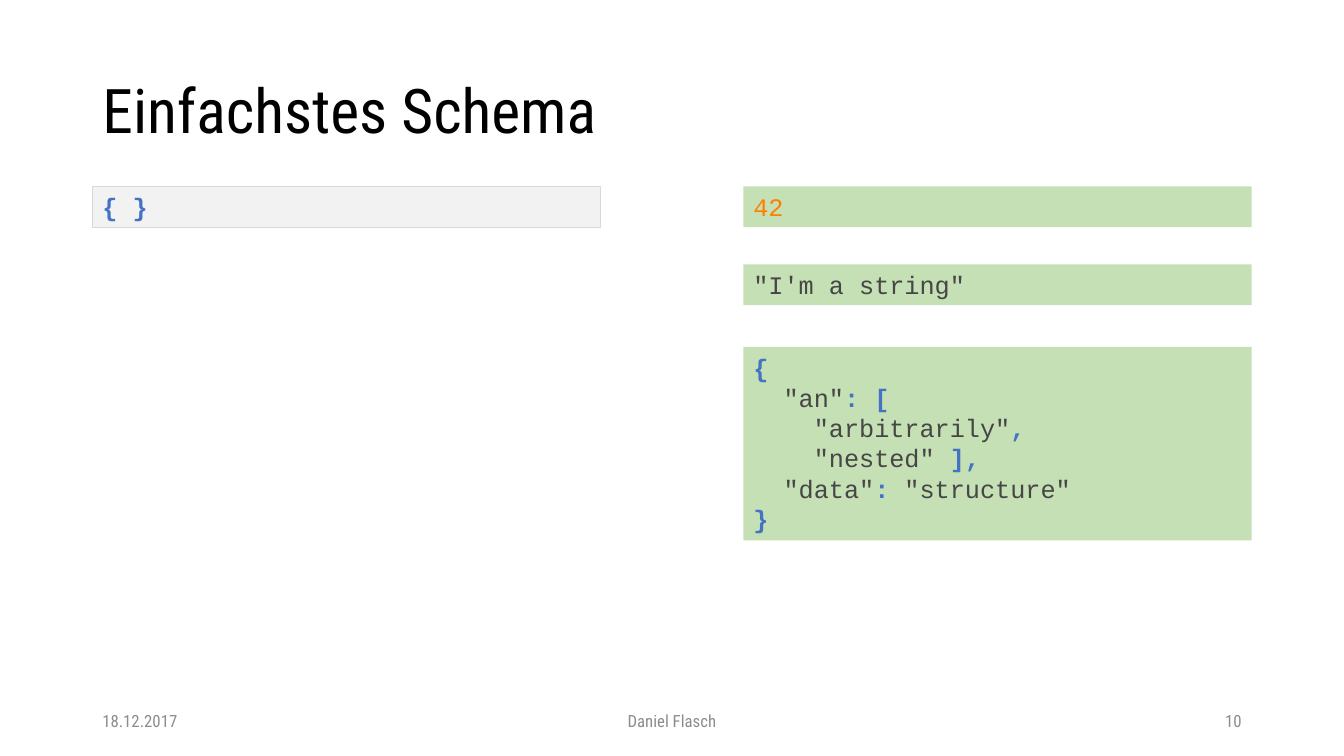
import dataclasses

import pptx
import pptx.dml.color
import pptx.enum.shapes
import pptx.enum.text
import pptx.util

Pt = pptx.util.Pt
ALIGN = pptx.enum.text.PP_ALIGN
MIDDLE = pptx.enum.text.MSO_ANCHOR.MIDDLE


@dataclasses.dataclass(frozen=True)
class Theme:
    sans: str = "Roboto Condensed"
    mono: str = "Courier New"
    title: int = 44
    code: int = 18
    foot: int = 12
    black: str = "000000"
    muted: str = "8C8C8C"
    mark: str = "4472C4"
    number: str = "FF8000"
    string: str = "464646"
    schema: str = "F2F2F2"
    border: str = "D9D9D9"
    valid: str = "C5E0B4"


THEME = Theme()
LEFT, RIGHT, WIDTH = 66, 531, 363
STEP = 21.6  # two characters of code

NESTED = [
    (0, [("mark", "{")]),
    (1, [("string", '"an"'), ("mark", ": [")]),
    (2, [("string", '"arbitrarily"'), ("mark", ",")]),
    (2, [("string", '"nested" '), ("mark", "],")]),
    (1, [("string", '"data"'), ("mark", ": "), ("string", '"structure"')]),
    (0, [("mark", "}")]),
]


def tint(hue):
    return pptx.dml.color.RGBColor.from_string(hue)


def style(run, face, size, hue, bold=False):
    font = run.font
    font.name, font.size, font.bold = face, Pt(size), bold
    font.color.rgb = tint(hue)


def place(shape, left, top, width, height):
    shape.left, shape.top = Pt(left), Pt(top)
    shape.width, shape.height = Pt(width), Pt(height)


def add_title(slide, text):
    title = slide.shapes.title
    place(title, LEFT, 28.8, 828, 104.4)
    frame = title.text_frame
    frame.text = text
    frame.vertical_anchor = MIDDLE
    line = frame.paragraphs[0]
    line.alignment = ALIGN.LEFT
    line.line_spacing = 0.9
    style(line.runs[0], THEME.sans, THEME.title, THEME.black)


def add_foot(slide, text, left, width, align):
    box = slide.shapes.add_textbox(Pt(left), Pt(500.5), Pt(width), Pt(28.8))
    frame = box.text_frame
    frame.word_wrap = True
    frame.text = text
    frame.vertical_anchor = MIDDLE
    line = frame.paragraphs[0]
    line.alignment = align
    style(line.runs[0], THEME.sans, THEME.foot, THEME.muted)


def add_code(slide, lines, left, top, height, fill, border=None):
    """Add a code box; each line is (indent level, [(token kind, text)])."""
    box = slide.shapes.add_shape(
        pptx.enum.shapes.MSO_SHAPE.RECTANGLE,
        Pt(left), Pt(top), Pt(WIDTH), Pt(height))
    box.shadow.inherit = False
    box.fill.solid()
    box.fill.fore_color.rgb = tint(fill)
    if border:
        box.line.color.rgb = tint(border)
        box.line.width = Pt(0.75)
    else:
        box.line.fill.background()
    frame = box.text_frame
    frame.word_wrap = True
    frame.auto_size = pptx.enum.text.MSO_AUTO_SIZE.SHAPE_TO_FIT_TEXT
    frame.vertical_anchor = pptx.enum.text.MSO_ANCHOR.TOP
    for i, (level, tokens) in enumerate(lines):
        line = frame.add_paragraph() if i else frame.paragraphs[0]
        line.alignment = ALIGN.LEFT
        if level:
            line._p.get_or_add_pPr().set("marL", str(int(Pt(level * STEP))))
        for kind, text in tokens:
            run = line.add_run()
            run.text = text
            style(run, THEME.mono, THEME.code, getattr(THEME, kind), kind == "mark")


def main():
    deck = pptx.Presentation()
    deck.slide_width, deck.slide_height = Pt(960), Pt(540)
    slide = deck.slides.add_slide(deck.slide_layouts.get_by_name("Title Only"))

    add_title(slide, "Einfachstes Schema")
    add_foot(slide, "18.12.2017", LEFT, 216, ALIGN.LEFT)
    add_foot(slide, "Daniel Flasch", 318, 324, ALIGN.CENTER)
    add_foot(slide, "10", 678, 216, ALIGN.RIGHT)

    add_code(slide, [(0, [("mark", "{ }")])], LEFT, 133.2, 29.1,
             THEME.schema, THEME.border)
    samples = [
        ([(0, [("number", "42")])], 133.2, 29.1),
        ([(0, [("string", '"I\'m a string"')])], 188.8, 29.1),
        (NESTED, 247.8, 138.2),
    ]
    for lines, top, height in samples:
        add_code(slide, lines, RIGHT, top, height, THEME.valid)

    deck.save("out.pptx")


if __name__ == "__main__":
    main()
